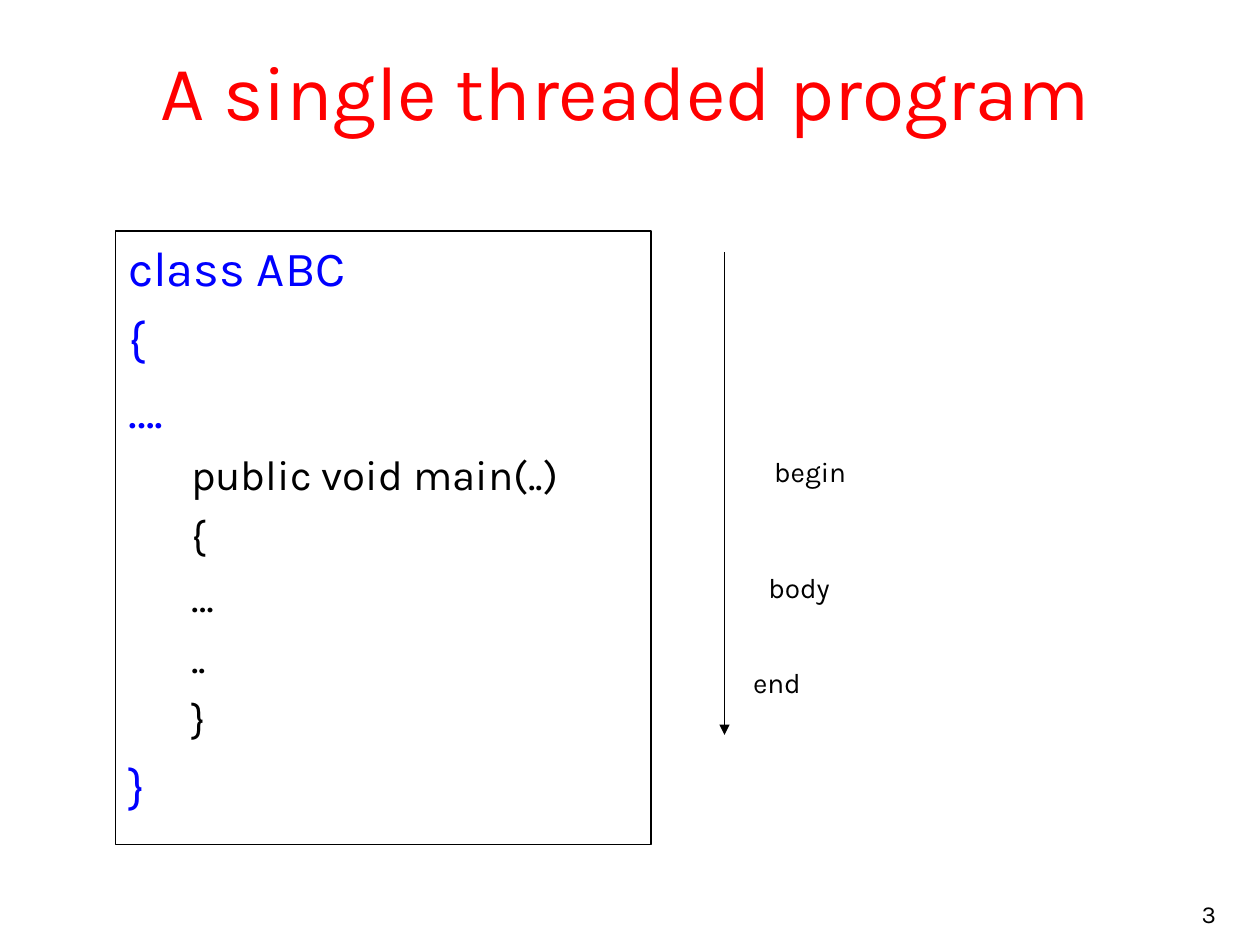
from dataclasses import dataclass

from lxml import etree
from pptx import Presentation
from pptx.dml.color import RGBColor
from pptx.enum.shapes import MSO_CONNECTOR
from pptx.enum.text import MSO_ANCHOR, MSO_AUTO_SIZE, PP_ALIGN
from pptx.oxml.ns import qn
from pptx.util import Inches, Pt

LEFT, CENTER, RIGHT = PP_ALIGN.LEFT, PP_ALIGN.CENTER, PP_ALIGN.RIGHT
TOP, MIDDLE, BOTTOM = MSO_ANCHOR.TOP, MSO_ANCHOR.MIDDLE, MSO_ANCHOR.BOTTOM
NO_FIT = MSO_AUTO_SIZE.NONE
STRAIGHT = MSO_CONNECTOR.STRAIGHT
COLUMNS, ROWS = 120, 90
CELL = Inches(10) / COLUMNS


@dataclass(frozen=True)
class Theme:
    """Colours, font and type sizes in points."""
    font: str = "Karla"
    ink: str = "000000"
    paper: str = "FFFFFF"
    heading: str = "FF0000"
    keyword: str = "0000FF"
    title: int = 44
    outer: int = 28
    inner: int = 24
    label: int = 16
    number: int = 14
    line: float = 0.74


@dataclass(frozen=True)
class Box:
    """A rectangle in columns and rows of the page grid."""
    left: float
    top: float
    width: float
    height: float

    def inside(self, left, top, width, height):
        """Return a box placed relative to this one."""
        return Box(self.left + left, self.top + top, width, height)

    def lengths(self):
        """Return left, top, width and height as slide lengths."""
        return [round(cells * CELL) for cells in (self.left, self.top, self.width, self.height)]


THEME = Theme()
CODE = [
    (0, "class ABC"), (0, "{"), (0, "…."),
    (1, "public void main(..)"), (1, "{"), (1, "…"), (1, ".."), (1, "}"),
    (0, "}"),
]
STAGES = [("begin", 13.4, 18.7, 9.5), ("body", 12.8, 29.75, 8.6), ("end", 11.4, 38.75, 7.2)]


def write(para, text, size, color=THEME.ink, align=LEFT, before=0):
    """Write one formatted span of text into a paragraph."""
    para.alignment = align
    para.space_before = Pt(before)
    span = para.add_run()
    span.text = text
    span.font.name = THEME.font
    span.font.size = Pt(size)
    span.font.color.rgb = RGBColor.from_string(color)


def place(shape, box, anchor=TOP, wrap=True):
    """Move a text shape to a box and return its text frame."""
    shape.left, shape.top, shape.width, shape.height = box.lengths()
    frame = shape.text_frame
    frame.auto_size = NO_FIT
    frame.word_wrap = wrap
    frame.vertical_anchor = anchor
    return frame


def add_text(page, box, text, anchor=TOP, wrap=True, **style):
    """Add a text box holding a single paragraph."""
    frame = place(page.shapes.add_textbox(*box.lengths()), box, anchor, wrap)
    write(frame.paragraphs[0], text, **style)


def set_line(shape):
    """Give a shape or connector the thin ink line."""
    shape.line.color.rgb = RGBColor.from_string(THEME.ink)
    shape.line.width = Pt(THEME.line)


def draw_title(page, box):
    """Fill the title placeholder."""
    title = page.shapes.title
    title.fill.solid()
    title.fill.fore_color.rgb = RGBColor.from_string(THEME.paper)
    frame = place(title, box, MIDDLE)
    write(frame.paragraphs[0], "A single threaded program", THEME.title, THEME.heading, CENTER)


def draw_code(page, box):
    """Fill the framed body placeholder with the program listing."""
    body = page.placeholders[1]
    set_line(body)
    frame = place(body, box)
    styles = [(THEME.outer, THEME.keyword, 7, 0), (THEME.inner, THEME.ink, 6, 0.5)]
    for index, (level, text) in enumerate(CODE):
        para = frame.add_paragraph() if index else frame.paragraphs[0]
        size, color, before, indent = styles[level]
        para.level = level
        write(para, text, size, color, before=before)
        properties = para._p.get_or_add_pPr()
        properties.set("marL", str(Inches(indent)))
        properties.set("indent", "0")
        etree.SubElement(properties, qn("a:buNone"))


def draw_timeline(page, box):
    """Draw the downward arrow and the stages beside it."""
    left, top, _, height = box.lengths()
    arrow = page.shapes.add_connector(STRAIGHT, left, top, left, top + height)
    set_line(arrow)
    etree.SubElement(arrow.line._get_or_add_ln(), qn("a:tailEnd"), type="triangle")
    etree.SubElement(arrow._element.spPr, qn("a:effectLst"))
    for text, column, row, width in STAGES:
        add_text(page, box.inside(column - 10, row, width, 4.4), text,
                 wrap=False, size=THEME.label, align=CENTER)


def draw_number(page, box):
    """Write the page number."""
    add_text(page, box, "3", anchor=BOTTOM, size=THEME.number, align=RIGHT)


def main():
    """Build and save the deck."""
    deck = Presentation()
    deck.slide_width, deck.slide_height = round(COLUMNS * CELL), round(ROWS * CELL)
    page = deck.slides.add_slide(deck.slide_layouts[1])
    draw_number(page, Box(92, 83, 25, 6))
    draw_title(page, Box(2, 2, 115.3, 13))
    draw_code(page, Box(11, 22, 51, 58.4))
    draw_timeline(page, Box(69, 24, 13, 46))
    deck.save("out.pptx")


main()
